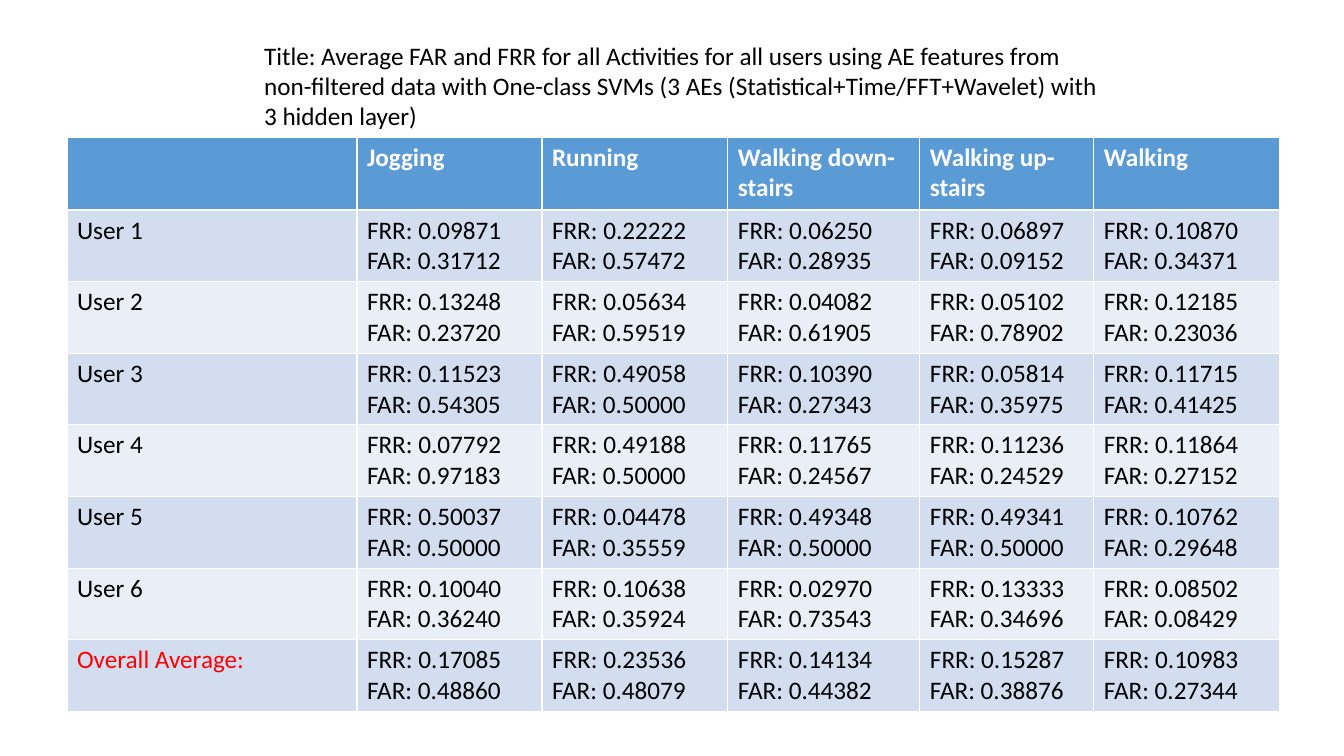
"""Build a slide with a table of FRR and FAR values per user and activity."""
from pptx import Presentation
from pptx.dml.color import RGBColor
from pptx.enum.text import MSO_ANCHOR, MSO_AUTO_SIZE, PP_ALIGN
from pptx.util import Pt

TITLE = ("Title: Average FAR and FRR for all Activities for all users using AE features from "
         "non-filtered data with One-class SVMs (3 AEs (Statistical+Time/FFT+Wavelet) with "
         "3 hidden layer)")
ACTIVITIES = ["Jogging", "Running", "Walking down-stairs", "Walking up-stairs", "Walking"]
AVERAGE = "Overall Average:"
RATES = {
    "User 1": [("0.09871", "0.31712"), ("0.22222", "0.57472"), ("0.06250", "0.28935"),
               ("0.06897", "0.09152"), ("0.10870", "0.34371")],
    "User 2": [("0.13248", "0.23720"), ("0.05634", "0.59519"), ("0.04082", "0.61905"),
               ("0.05102", "0.78902"), ("0.12185", "0.23036")],
    "User 3": [("0.11523", "0.54305"), ("0.49058", "0.50000"), ("0.10390", "0.27343"),
               ("0.05814", "0.35975"), ("0.11715", "0.41425")],
    "User 4": [("0.07792", "0.97183"), ("0.49188", "0.50000"), ("0.11765", "0.24567"),
               ("0.11236", "0.24529"), ("0.11864", "0.27152")],
    "User 5": [("0.50037", "0.50000"), ("0.04478", "0.35559"), ("0.49348", "0.50000"),
               ("0.49341", "0.50000"), ("0.10762", "0.29648")],
    "User 6": [("0.10040", "0.36240"), ("0.10638", "0.35924"), ("0.02970", "0.73543"),
               ("0.13333", "0.34696"), ("0.08502", "0.08429")],
    AVERAGE: [("0.17085", "0.48860"), ("0.23536", "0.48079"), ("0.14134", "0.44382"),
              ("0.15287", "0.38876"), ("0.10983", "0.27344")],
}
BLACK, WHITE, RED = "000000", "FFFFFF", "FF0000"
HEADER_FILL, BAND_FILLS = "5B9BD5", ("D2DEEF", "EAEFF7")
COLUMN_WIDTHS = [290, 185, 186, 192, 174, 186]
HEADER_HEIGHT, ROW_HEIGHT = 73, 71


def px(length):
    return round(length * 914400 / 100.8)


def paint(color_format, color):
    color_format.rgb = RGBColor.from_string(color)


def write(frame, text, color=BLACK, bold=False, size=18, font="Calibri"):
    frame.text = text
    for paragraph in frame.paragraphs:
        paragraph.alignment = PP_ALIGN.LEFT
        for run in paragraph.runs:
            run.font.name, run.font.size, run.font.bold = font, Pt(size), bold
            paint(run.font.color, color)


presentation = Presentation()
presentation.slide_width, presentation.slide_height = px(1344), px(756)
slide = presentation.slides.add_slide(presentation.slide_layouts[5])

title = slide.shapes.title
title.left, title.top, title.width, title.height = map(px, (254, 35, 860, 102))
title.text_frame.word_wrap = True
title.text_frame.auto_size = MSO_AUTO_SIZE.NONE
title.text_frame.vertical_anchor = MSO_ANCHOR.TOP
write(title.text_frame, TITLE)

rows = [["", *ACTIVITIES]]
for user, rates in RATES.items():
    rows.append([user, *(f"FRR: {frr}\nFAR: {far}" for frr, far in rates)])
heights = [HEADER_HEIGHT] + [ROW_HEIGHT] * len(RATES)
table = slide.shapes.add_table(len(rows), len(COLUMN_WIDTHS), px(67), px(137),
                               px(sum(COLUMN_WIDTHS)), px(sum(heights))).table
for column, width in zip(table.columns, COLUMN_WIDTHS):
    column.width = px(width)
for row_index, (texts, height) in enumerate(zip(rows, heights)):
    table.rows[row_index].height = px(height)
    header = row_index == 0
    fill = HEADER_FILL if header else BAND_FILLS[(row_index - 1) % 2]
    for column_index, text in enumerate(texts):
        cell = table.cell(row_index, column_index)
        cell.fill.solid()
        paint(cell.fill.fore_color, fill)
        color = WHITE if header else RED if text == AVERAGE else BLACK
        write(cell.text_frame, text, color=color, bold=header)

presentation.save("out.pptx")
